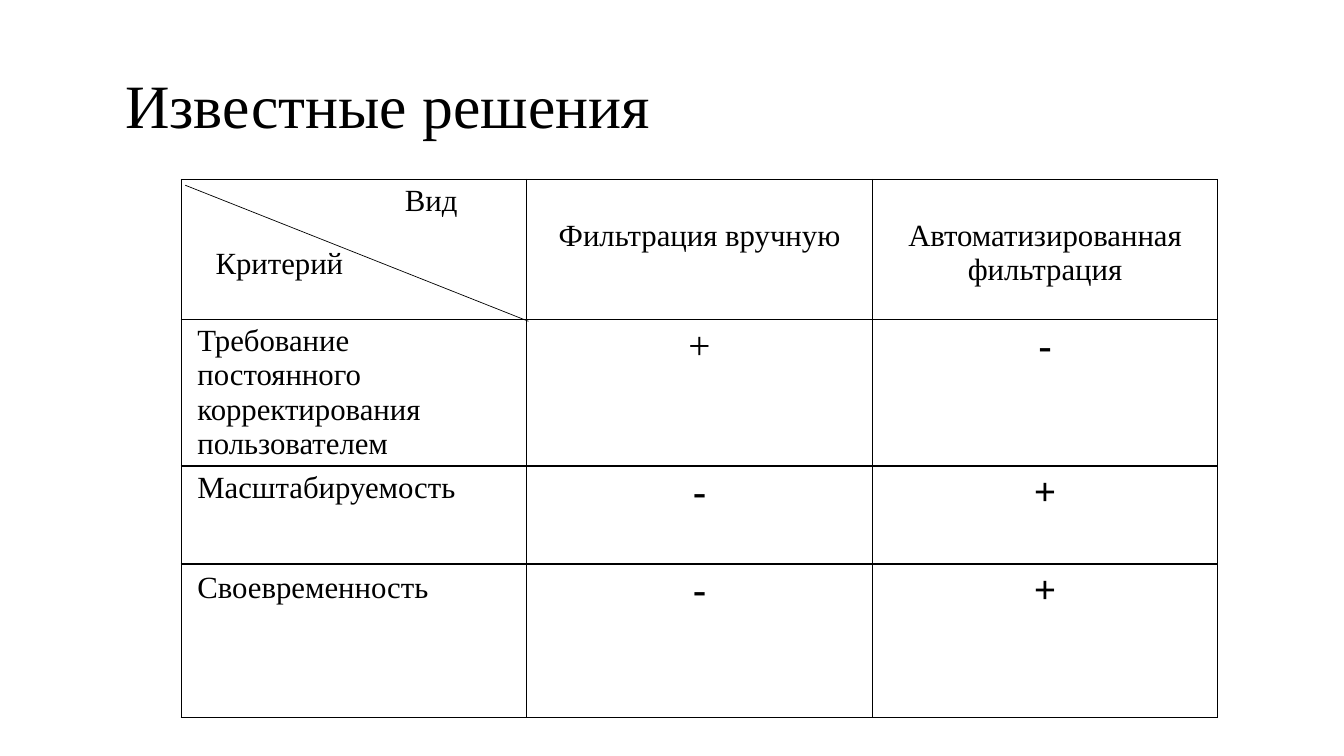
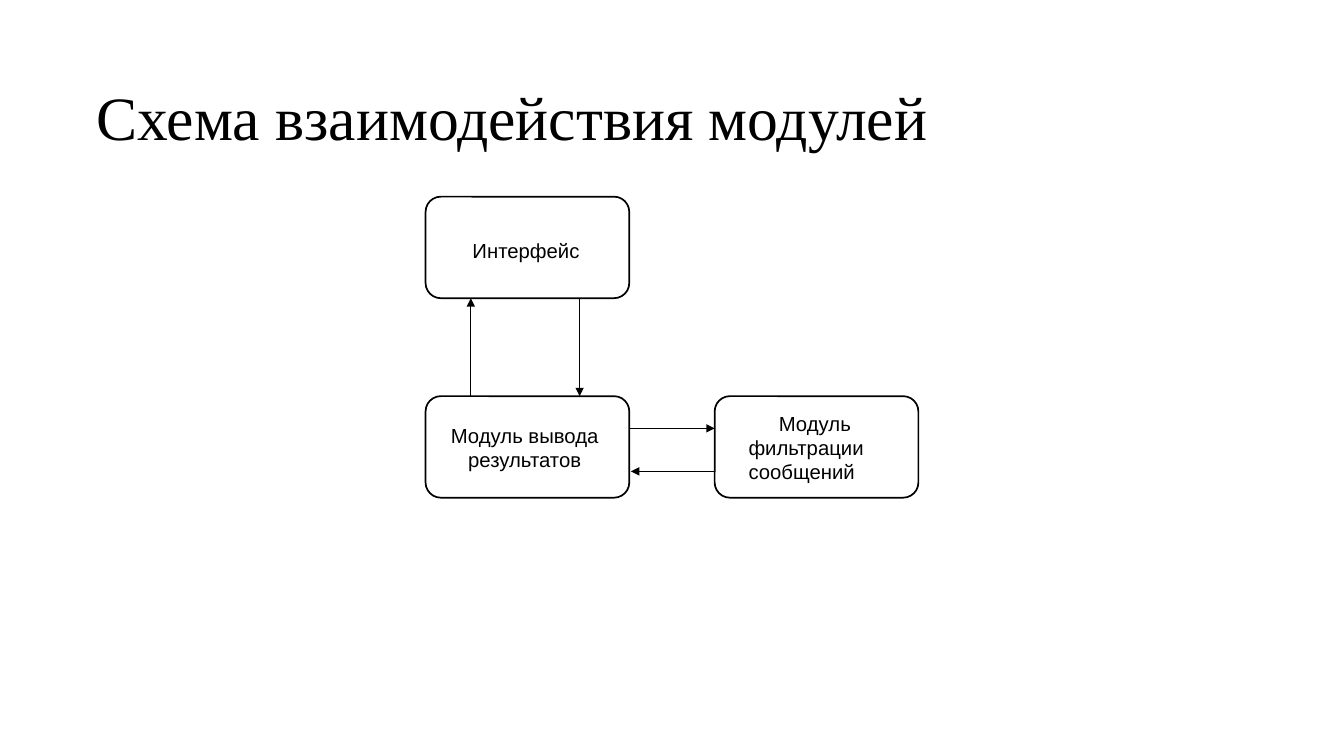
from lxml.etree import SubElement as Sub
from pptx import Presentation
from pptx.dml.color import RGBColor
from pptx.enum.shapes import MSO_CONNECTOR as Conn, MSO_SHAPE as Shape
from pptx.enum.text import MSO_ANCHOR as Anchor, MSO_AUTO_SIZE as Auto, PP_ALIGN as Align
from pptx.oxml.ns import qn
from pptx.util import Pt

INK = "000000"
SERIF, SANS = "Times New Roman", "Arial"
HEAD = ["Фильтрация вручную", "Автоматизированная фильтрация"]
MARKS = [
    ("Требование постоянного корректирования пользователем", "+", "-"),
    ("Масштабируемость", "-", "+"),
    ("Своевременность", "-", "+"),
]
ROWS = [100, 104.5, 70, 109.5]
COL = 246.8
LEFT, TOP = 129.5, 128.2
BOX_W, BOX_H = 145.5, 72.5


def color(code):
    return RGBColor.from_string(code)


def write(par, text, size, font, bold=False):
    run = par.add_run()
    run.text = text
    run.font.size, run.font.name, run.font.bold = Pt(size), font, bold
    run.font.color.rgb = color(INK)


def indent(par, left, first=0):
    props = par._p.get_or_add_pPr()
    props.set("marL", str(Pt(left)))
    props.set("indent", str(Pt(first)))


def inset(frame, left, top, right, bottom):
    frame.margin_left, frame.margin_top = Pt(left), Pt(top)
    frame.margin_right, frame.margin_bottom = Pt(right), Pt(bottom)


def add_page(deck, title, left, top):
    page = deck.slides.add_slide(deck.slide_layouts[5])
    box = page.shapes.title
    box.left, box.top, box.width, box.height = Pt(left), Pt(top), Pt(780), Pt(60)
    frame = box.text_frame
    frame.word_wrap, frame.auto_size = True, Auto.NONE
    frame.vertical_anchor = Anchor.TOP
    inset(frame, 0, 0, 0, 0)
    par = frame.paragraphs[0]
    par.alignment = Align.LEFT
    write(par, title, 44, SERIF)
    return page


def add_line(page, start, end, width=0.75, arrow=True):
    line = page.shapes.add_connector(Conn.STRAIGHT, *map(Pt, start + end))
    line.line.color.rgb = color(INK)
    line.line.width = Pt(width)
    if arrow:
        Sub(line.line._get_or_add_ln(), qn("a:tailEnd"), type="triangle")
    Sub(line._element.spPr, qn("a:effectLst"))


def frame_cell(cell):
    """Draw four thin borders and clear the fill."""
    props = cell._tc.get_or_add_tcPr()
    for side in "LRTB":
        edge = Sub(props, qn(f"a:ln{side}"), w=str(Pt(0.96)))
        Sub(Sub(edge, qn("a:solidFill")), qn("a:srgbClr"), val=INK)
    cell.fill.background()
    inset(cell, 7.2, 3.6, 7.2, 3.6)


def fill_corner(cell):
    kind = cell.text_frame.paragraphs[0]
    indent(kind, 152.5)
    write(kind, "Вид", 22, SERIF)
    mark = cell.text_frame.add_paragraph()
    indent(mark, 17.3)
    mark.space_before = Pt(20.6)
    write(mark, "Критерий", 22, SERIF)


def add_grid(page):
    cols = len(HEAD) + 1
    grid = page.shapes.add_table(len(ROWS), cols, Pt(LEFT), Pt(TOP),
                                 Pt(COL * cols), Pt(sum(ROWS))).table
    grid.first_row = grid.horz_banding = False
    for col in grid.columns:
        col.width = Pt(COL)
    for row, high in zip(grid.rows, ROWS):
        row.height = Pt(high)
    for cell in grid.iter_cells():
        frame_cell(cell)
    fill_corner(grid.cell(0, 0))
    for c, text in enumerate(HEAD, 1):
        cell = grid.cell(0, c)
        cell.margin_top = Pt(28)
        par = cell.text_frame.paragraphs[0]
        par.alignment = Align.CENTER
        write(par, text, 22, SERIF)
    for r, texts in enumerate(MARKS, 1):
        for c, text in enumerate(texts):
            par = grid.cell(r, c).text_frame.paragraphs[0]
            if c:
                par.alignment = Align.CENTER
                write(par, text, 28, SERIF, bold=(r, c) != (1, 1))
            else:
                indent(par, 4.3)
                write(par, text, 22, SERIF)
    grid.cell(3, 0).text_frame.paragraphs[0].line_spacing = Pt(26)


def add_box(page, text, left, top, pads, align=Align.CENTER, first=0):
    box = page.shapes.add_shape(Shape.ROUNDED_RECTANGLE, Pt(left), Pt(top),
                                Pt(BOX_W), Pt(BOX_H))
    box.adjustments[0] = 0.15
    box.shadow.inherit = False
    box.fill.background()
    box.line.color.rgb = color(INK)
    box.line.width = Pt(1.22)
    frame = box.text_frame
    frame.word_wrap, frame.vertical_anchor = True, Anchor.MIDDLE
    inset(frame, *pads)
    par = frame.paragraphs[0]
    par.alignment, par.line_spacing = align, Pt(17)
    indent(par, 0, first)
    write(par, text, 14.5, SANS)


def add_scheme(page):
    left, right, top, low = 304, 510.5, 140.5, 283
    add_box(page, "Интерфейс", left, top, (10, 5, 12, 0))
    add_box(page, "Модуль вывода результатов", left, low, (10, 1, 14, 0))
    add_box(page, "Модуль фильтрации сообщений", right, low,
            (21, 1, 20, 0), Align.LEFT, 21.6)
    base, edge = top + BOX_H, left + BOX_W
    add_line(page, (414, base), (414, low))
    add_line(page, (336.3, low), (336.3, base))
    add_line(page, (edge, 306), (right, 306))
    add_line(page, (right, 336.7), (edge + 1.2, 336.7))


def main():
    deck = Presentation()
    deck.slide_width, deck.slide_height = Pt(960), Pt(540)
    page = add_page(deck, "Известные решения", 89.3, 47.5)
    add_grid(page)
    add_line(page, (132.3, 132.3), (377.5, 229.5), 0.5, arrow=False)
    add_scheme(add_page(deck, "Схема взаимодействия модулей", 69, 56))
    deck.save("out.pptx")


if __name__ == "__main__":
    main()
